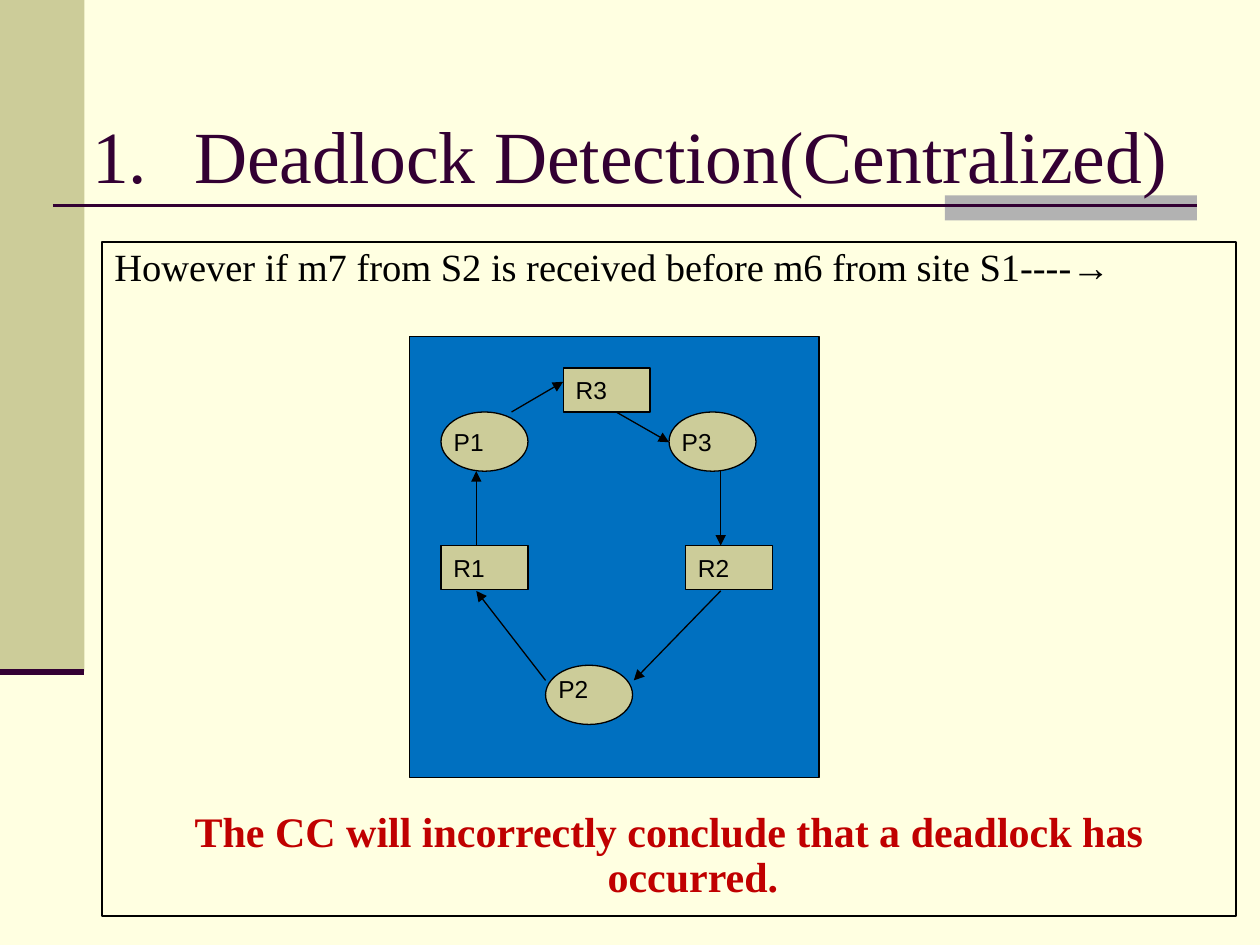
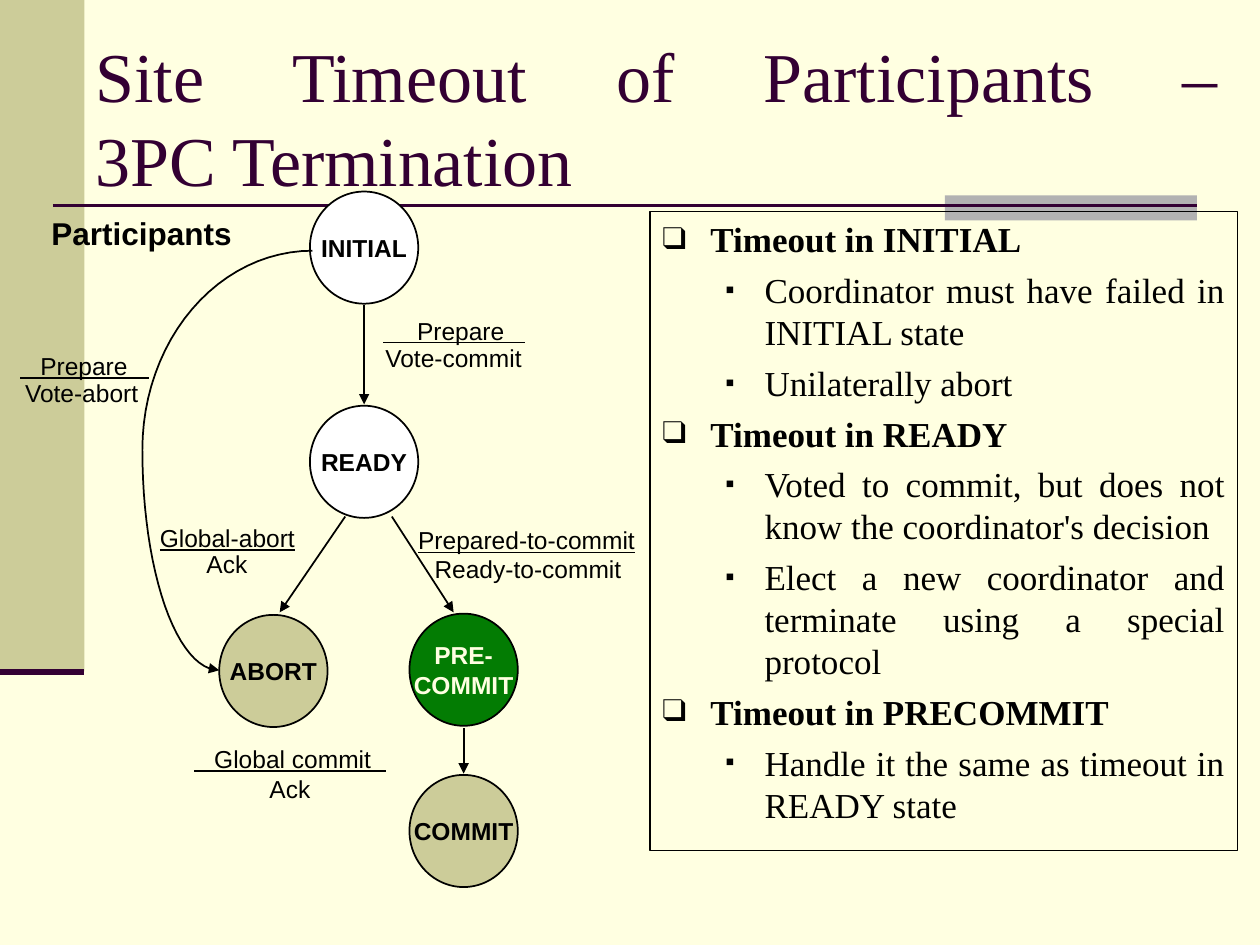
from dataclasses import dataclass
from math import cos, pi, sin

from lxml.etree import SubElement
from pptx import Presentation
from pptx.dml.color import RGBColor
from pptx.enum.shapes import MSO_CONNECTOR, MSO_SHAPE
from pptx.enum.text import MSO_ANCHOR, PP_ALIGN
from pptx.oxml.ns import qn
from pptx.util import Inches, Pt


@dataclass(frozen=True)
class Theme:
    paper: str = "FFFFE1"
    ink: str = "000000"
    plum: str = "330033"
    sand: str = "CCCC99"
    grey: str = "B2B2B2"
    blue: str = "0070C0"
    green: str = "037C03"
    white: str = "FFFFFF"
    red: str = "C00000"
    serif: str = "Times New Roman"
    sans: str = "Arial"
    label: float = 14
    heading: float = 18
    topic: float = 20
    lead: float = 22
    verdict: float = 24
    thin: float = 0.75
    medium: float = 1


THEME = Theme()


@dataclass(frozen=True)
class Box:
    left: float
    top: float
    width: float
    height: float

    def inner(self, left, top, width, height):
        return Box(self.left + left, self.top + top, width, height)

    def point(self, x, y):
        return Inches(self.left + x), Inches(self.top + y)

    def lengths(self):
        return [Inches(n) for n in (self.left, self.top, self.width, self.height)]


def color(value):
    return RGBColor.from_string(value)


def add_run(paragraph, text, size, font=THEME.sans, ink=THEME.ink, bold=False):
    run = paragraph.add_run()
    run.text = text
    run.font.size = Pt(size)
    run.font.name = font
    run.font.bold = bold
    run.font.color.rgb = color(ink)
    return run


def indent(paragraph, left, hanging):
    properties = paragraph._p.get_or_add_pPr()
    properties.set("marL", str(Inches(left)))
    properties.set("indent", str(-Inches(hanging)))
    return properties


def add_filled(slide, kind, box, fill=None, line=None, width=THEME.thin):
    shape = slide.shapes.add_shape(kind, *box.lengths())
    shape.shadow.inherit = False
    if fill:
        shape.fill.solid()
        shape.fill.fore_color.rgb = color(fill)
    else:
        shape.fill.background()
    if line:
        shape.line.color.rgb = color(line)
        shape.line.width = Pt(width)
    else:
        shape.line.fill.background()
    return shape


def add_text_frame(slide, box, anchor=MSO_ANCHOR.TOP):
    frame = slide.shapes.add_textbox(*box.lengths()).text_frame
    frame.word_wrap = True
    frame.vertical_anchor = anchor
    return frame


def add_label(slide, box, text, size, shift=0, bold=False):
    frame = add_text_frame(slide, box)
    frame.margin_left = Inches(0.1 + shift)
    frame.margin_right = 0
    return add_run(frame.paragraphs[0], text, size, bold=bold)


def add_arrowhead(shape):
    SubElement(shape._element.spPr.find(qn("a:ln")), qn("a:tailEnd"), type="triangle")


def add_line(slide, box, start, end, ink=THEME.ink, width=THEME.thin, arrow=False):
    line = slide.shapes.add_connector(
        MSO_CONNECTOR.STRAIGHT, *box.point(*start), *box.point(*end))
    line.line.color.rgb = color(ink)
    line.line.width = Pt(width)
    if arrow:
        add_arrowhead(line)
    SubElement(line._element.spPr, qn("a:effectLst"))


def add_base_slide(deck):
    slide = deck.slides.add_slide(deck.slide_layouts[6])
    slide.background.fill.solid()
    slide.background.fill.fore_color.rgb = color(THEME.paper)
    page = Box(0, 0, 10, 7.5)
    add_filled(slide, MSO_SHAPE.RECTANGLE, page.inner(0, 0, 0.67, 5.33), THEME.sand)
    add_filled(slide, MSO_SHAPE.RECTANGLE, page.inner(7.5, 1.55, 2, 0.2), THEME.grey)
    add_line(slide, page, (0.42, 1.63), (9.5, 1.63), THEME.plum, 1.5)
    add_line(slide, page, (0, 5.33), (0.67, 5.33), THEME.plum, 3.5)
    return slide


def add_title(slide, box, lines, size, align):
    paragraph = add_text_frame(slide, box, MSO_ANCHOR.MIDDLE).paragraphs[0]
    paragraph.alignment = align
    for index, line in enumerate(lines):
        if index:
            paragraph.add_line_break()
        add_run(paragraph, line, size, THEME.serif, THEME.plum)
    return paragraph


def add_framed_text(slide, box):
    frame = add_filled(slide, MSO_SHAPE.RECTANGLE, box, line=THEME.ink).text_frame
    frame.word_wrap = True
    frame.vertical_anchor = MSO_ANCHOR.TOP
    return frame


def add_scenario(slide, box):
    frame = add_framed_text(slide, box)
    lead, verdict = frame.paragraphs[0], frame.add_paragraph()
    for paragraph, align in ((lead, PP_ALIGN.LEFT), (verdict, PP_ALIGN.CENTER)):
        paragraph.alignment = align
        paragraph.line_spacing = 0.9
        indent(paragraph, 0.38, 0.38)
    verdict.space_before = Pt(298)
    add_run(lead, "However if m7 from S2 is received before m6 from site S1----",
            THEME.lead, THEME.serif)
    add_run(lead, "→", THEME.lead)
    add_run(verdict, "The CC will incorrectly conclude that a deadlock has occurred.",
            THEME.verdict, THEME.serif, THEME.red, bold=True)


def add_wait_graph(slide, box):
    add_filled(slide, MSO_SHAPE.RECTANGLE, box, THEME.blue, THEME.ink)
    waits = [
        ((0.53, 1.66), (0.53, 1.07)),
        ((2.47, 1.07), (2.47, 1.66)),
        ((1.08, 2.73), (0.53, 2.02)),
        ((2.47, 2.02), (1.78, 2.73)),
        ((1.64, 0.6), (2.06, 0.84)),
        ((0.81, 0.6), (1.22, 0.36)),
    ]
    for start, end in waits:
        add_line(slide, box, start, end, arrow=True)

    process = (MSO_SHAPE.OVAL, 0.47, 0)
    resource = (MSO_SHAPE.RECTANGLE, 0.35, 0.1)
    middle, top = MSO_ANCHOR.MIDDLE, MSO_ANCHOR.TOP
    nodes = [
        ("P3", process, 2.06, 0.6, middle),
        ("R2", resource, 2.19, 1.66, middle),
        ("R3", resource, 1.22, 0.25, middle),
        ("R1", resource, 0.25, 1.66, middle),
        ("P2", process, 1.08, 2.61, top),
        ("P1", process, 0.25, 0.6, middle),
    ]
    for name, (kind, height, inset), left, node_top, anchor in nodes:
        node = add_filled(slide, kind, box.inner(left, node_top, 0.69, height),
                          THEME.sand, THEME.ink)
        frame = node.text_frame
        frame.margin_left = Inches(inset)
        frame.margin_right = frame.margin_top = frame.margin_bottom = 0
        frame.vertical_anchor = anchor
        frame.paragraphs[0].alignment = PP_ALIGN.LEFT
        add_run(frame.paragraphs[0], name, THEME.label)


def add_timeout_rules(slide, box):
    rules = [
        ("Timeout in INITIAL", [
            "Coordinator must have failed in INITIAL state",
            "Unilaterally abort"]),
        ("Timeout in READY", [
            "Voted to commit, but does not know the coordinator's decision",
            "Elect a new coordinator and terminate using a special protocol"]),
        ("Timeout in PRECOMMIT", [
            "Handle it the same as timeout in READY state"]),
    ]
    bullets = [("❑", 90, 0.38, 0.38), ("▪", 75, 0.81, 0.31)]
    frame = add_framed_text(slide, box)
    entries = [(level, text) for topic, details in rules
               for level, text in [(0, topic)] + [(1, detail) for detail in details]]
    for index, (level, text) in enumerate(entries):
        paragraph = frame.add_paragraph() if index else frame.paragraphs[0]
        paragraph.alignment = PP_ALIGN.JUSTIFY
        paragraph.level = level
        if index:
            paragraph.space_before = Pt(5)
        mark, percent, left, hanging = bullets[level]
        properties = indent(paragraph, left, hanging)
        SubElement(SubElement(properties, qn("a:buClr")), qn("a:srgbClr"), val=THEME.ink)
        SubElement(properties, qn("a:buSzPct"), val=str(percent * 1000))
        SubElement(properties, qn("a:buFont"), typeface=THEME.serif)
        SubElement(properties, qn("a:buChar"), char=mark)
        add_run(paragraph, text, THEME.topic, THEME.serif, bold=level == 0)


def add_state(slide, box, lines, fill, ink):
    frame = add_filled(slide, MSO_SHAPE.OVAL, box, fill, THEME.ink, THEME.medium).text_frame
    frame.word_wrap = False
    frame.vertical_anchor = MSO_ANCHOR.MIDDLE
    frame.margin_left = frame.margin_right = frame.margin_top = frame.margin_bottom = 0
    for index, line in enumerate(lines):
        paragraph = frame.add_paragraph() if index else frame.paragraphs[0]
        paragraph.alignment = PP_ALIGN.CENTER
        add_run(paragraph, line, THEME.label, ink=ink, bold=True)


def add_transition(slide, received, received_box, sent, sent_box, shift):
    run = add_label(slide, received_box, received, THEME.label, shift)
    if shift:
        add_line(slide, received_box, (0.1, 0.26), (received_box.width - 0.1, 0.26))
    else:
        run.font.underline = True
    add_label(slide, sent_box, sent, THEME.label)


def add_abort_curve(slide, box):
    steps = [i * pi / 48 for i in range(25)]
    upper = [box.point(2.48 - 1.35 * sin(a), 2.07 - 1.58 * cos(a)) for a in steps]
    lower = [box.point(1.74 - 0.61 * cos(a), 2.07 + 1.75 * sin(a)) for a in steps]
    builder = slide.shapes.build_freeform(*upper[0], scale=1.0)
    builder.add_line_segments(upper[1:] + lower[1:], close=False)
    curve = builder.convert_to_shape()
    curve.shadow.inherit = False
    curve.fill.background()
    curve.line.color.rgb = color(THEME.ink)
    curve.line.width = Pt(THEME.medium)
    add_arrowhead(curve)


def add_state_machine(slide, box):
    moves = [
        ((2.89, 0.92), (2.89, 1.71)),
        ((2.74, 2.6), (2.22, 3.36)),
        ((3.11, 2.6), (3.6, 3.36)),
        ((3.68, 4.28), (3.68, 4.64)),
    ]
    for start, end in moves:
        add_line(slide, box, start, end, width=THEME.medium, arrow=True)

    states = [
        (["INITIAL"], 2.46, 0.02, THEME.white, THEME.ink),
        (["READY"], 2.46, 1.72, THEME.white, THEME.ink),
        (["COMMIT"], 3.25, 4.65, THEME.sand, THEME.ink),
        (["ABORT"], 1.74, 3.38, THEME.sand, THEME.ink),
        (["PRE-", "COMMIT"], 3.25, 3.37, THEME.green, THEME.paper),
    ]
    for lines, left, top, fill, ink in states:
        add_state(slide, box.inner(left, top, 0.86, 0.89), lines, fill, ink)
    add_abort_curve(slide, box)

    transitions = [
        ("Prepare", (2.94, 0.96, 1.33), "Vote-commit", (2.96, 1.17, 1.29), 0.27),
        ("Prepared-to-commit", (3.22, 2.62, 1.92), "Ready-to-commit", (3.35, 2.85, 1.68), 0),
        ("Prepare", (0.06, 1.24, 1.22), "Vote-abort", (0.1, 1.45, 1.11), 0.16),
        ("Global-abort", (1.17, 2.6, 1.27), "Ack", (1.54, 2.81, 0.52), 0),
        ("Global commit", (1.44, 4.36, 1.72), "Ack", (2.04, 4.59, 0.52), 0.16),
    ]
    for received, received_at, sent, sent_at, shift in transitions:
        add_transition(slide, received, box.inner(*received_at, 0.33),
                       sent, box.inner(*sent_at, 0.33), shift)
    add_label(slide, box.inner(0.31, 0.15, 1.63, 0.4), "Participants",
              THEME.heading, bold=True)


def add_detection_slide(deck):
    slide = add_base_slide(deck)
    add_scenario(slide, Box(0.81, 1.92, 9, 5.35))
    add_wait_graph(slide, Box(3.25, 2.67, 3.25, 3.5))
    title = add_title(slide, Box(0.5, 0.77, 9, 0.9),
                      ["Deadlock Detection(Centralized)"], 42, PP_ALIGN.CENTER)
    SubElement(indent(title, 0.81, 0.81), qn("a:buAutoNum"), type="arabicPeriod")


def add_termination_slide(deck):
    slide = add_base_slide(deck)
    add_timeout_rules(slide, Box(5.16, 1.68, 4.66, 5.07))
    add_state_machine(slide, Box(0, 1.5, 5.16, 5.6))
    add_title(slide, Box(0.66, 0.3, 9.11, 1.25),
              ["Site Timeout of Participants –", "3PC Termination"], 40, PP_ALIGN.JUSTIFY)


def main():
    deck = Presentation()
    deck.slide_width, deck.slide_height = Inches(10), Inches(7.5)
    add_detection_slide(deck)
    add_termination_slide(deck)
    deck.save("out.pptx")


if __name__ == "__main__":
    main()
